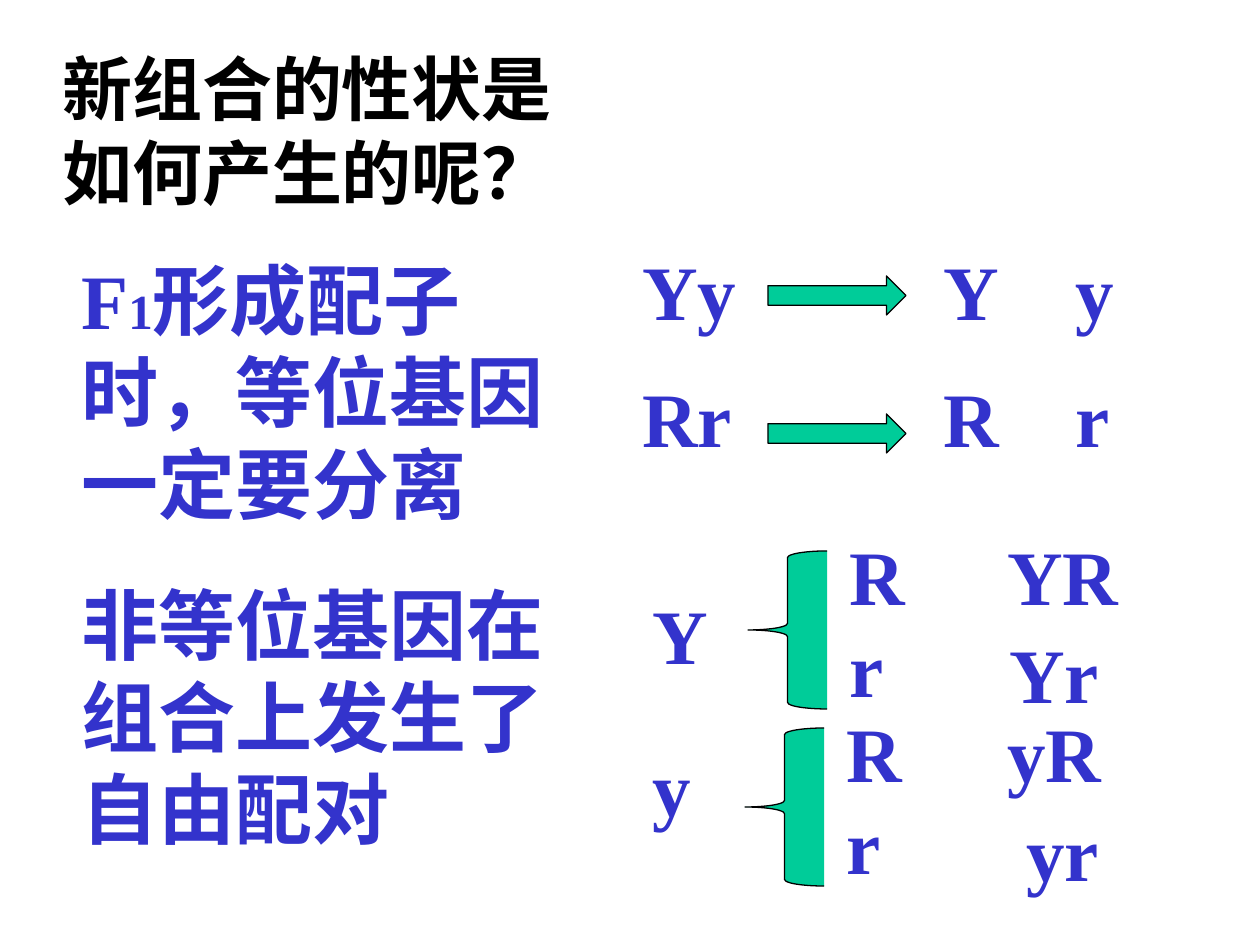
from lxml import etree
from pptx import Presentation
from pptx.dml.color import RGBColor
from pptx.enum.shapes import MSO_SHAPE
from pptx.enum.text import MSO_AUTO_SIZE, PP_ALIGN
from pptx.oxml.ns import qn
from pptx.util import Emu, Pt

COLORS = {"black": "000000", "blue": "3333CC", "green": "00CC99"}
FONT = "Times New Roman"
SCALE = 914400 / 126


def px(n):
    return Emu(round(n * SCALE))


def add_text(text, box, size=44, color="blue", align=PP_ALIGN.LEFT,
             gap=0, tabs=()):
    """Each line is a paragraph; a line may be a list of (text, size) runs."""
    tf = s.shapes.add_textbox(*map(px, box)).text_frame
    tf.word_wrap = True
    tf.auto_size = MSO_AUTO_SIZE.SHAPE_TO_FIT_TEXT
    for i, line in enumerate(text):
        p = tf.paragraphs[0] if i == 0 else tf.add_paragraph()
        p.alignment = align
        if i and gap:
            p.space_before = Pt(gap)
        pPr = p._p.get_or_add_pPr()
        pPr.set("hangingPunct", "0")
        if tabs:
            tab_list = etree.SubElement(pPr, qn("a:tabLst"))
            for pos in tabs:
                etree.SubElement(tab_list, qn("a:tab"), pos=str(px(pos)), algn="l")
        runs = [(line, size)] if isinstance(line, str) else line
        for run_text, run_size in runs:
            r = p.add_run()
            r.text = run_text
            r.font.name = FONT
            r.font.size = Pt(run_size)
            r.font.bold = True
            r.font.color.rgb = RGBColor.from_string(COLORS[color])


def add_shape(kind, box):
    sp = s.shapes.add_shape(kind, *map(px, box))
    sp.shadow.inherit = False
    sp.fill.solid()
    sp.fill.fore_color.rgb = RGBColor.from_string(COLORS["green"])
    sp.line.color.rgb = RGBColor.from_string(COLORS["black"])
    sp.line.width = Pt(0.75)


prs = Presentation()
prs.slide_width, prs.slide_height = px(1260), px(945)
s = prs.slides.add_slide(prs.slide_layouts[6])

# Title
add_text(["新组合的性状是如何产生的呢？"], (39, 39, 536, 181), size=40,
         color="black", align=PP_ALIGN.CENTER)

# Explanations on the left
add_text([[("F", 44), ("1", 28), ("形成配子时，等位基因一定要分离", 44)]],
         (69, 246, 540, 290))
add_text(["非等位基因在组合上发生了自由配对"], (69, 571, 522, 290))

# Separation of alleles
for text, top, arrow_top in [("Yy\tY\ty", 237, 276), ("Rr\tR\tr", 364, 414)]:
    add_text([text], (630, top, 561, 106), tabs=(301, 433))
    add_shape(MSO_SHAPE.RIGHT_ARROW, (768, arrow_top, 138, 39))

# Free combination: first gene, brace, second gene
add_text(["Y", "y"], (640, 581, 90, 257), gap=34)
for brace_left, brace_top, gene_left, gene_top in [(748, 551, 837, 522),
                                                   (745, 728, 834, 699)]:
    add_shape(MSO_SHAPE.LEFT_BRACE, (brace_left, brace_top, 79, 158))
    add_text(["R", "r"], (gene_left, gene_top, 90, 198))

# Resulting gametes
for text, left, top in [("YR", 995, 522), ("Yr", 997, 620),
                        ("yR", 995, 699), ("yr", 1014, 798)]:
    add_text([text], (left, top, 150, 106))

prs.save("out.pptx")
